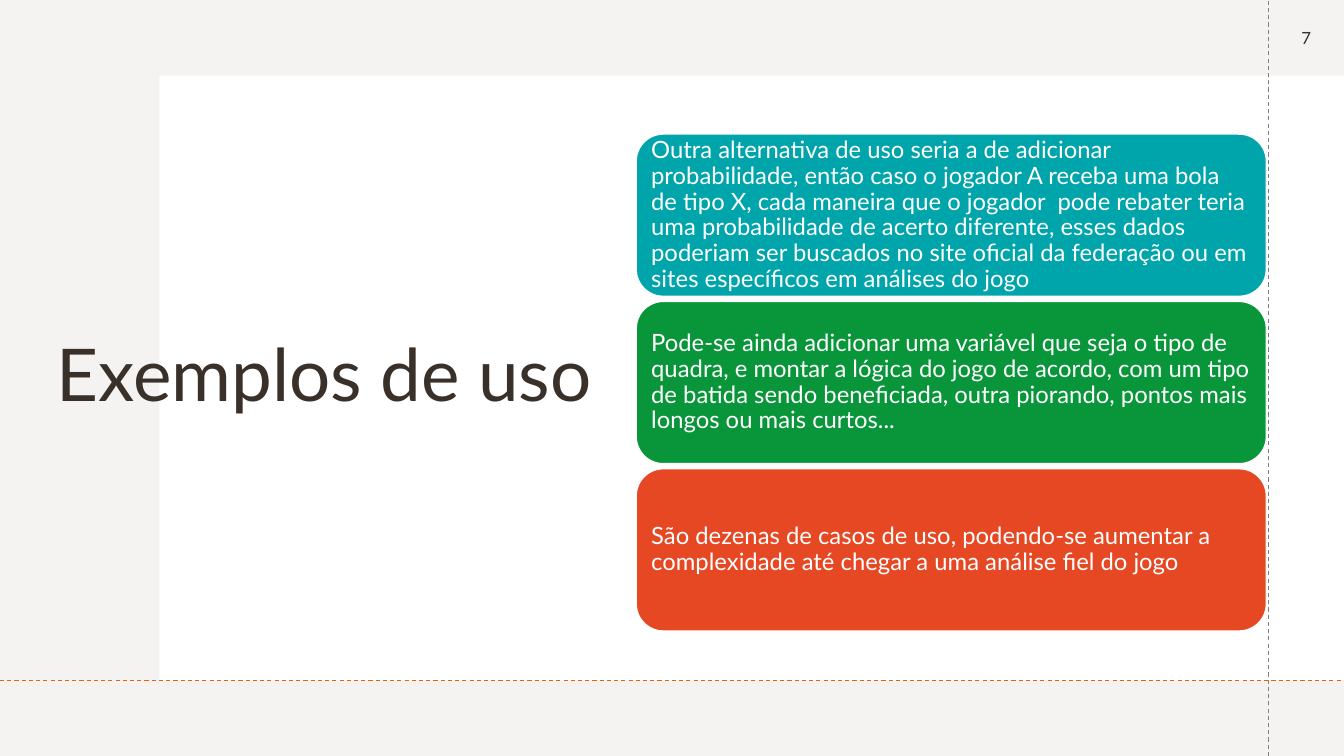
import dataclasses

import pptx
import pptx.dml.color
import pptx.enum.dml
import pptx.enum.shapes
import pptx.enum.text
import pptx.oxml
import pptx.util

RGB = pptx.dml.color.RGBColor.from_string
INCH = pptx.util.Inches
SHAPE = pptx.enum.shapes.MSO_SHAPE
ALIGN = pptx.enum.text.PP_ALIGN


@dataclasses.dataclass(frozen=True)
class Theme:
    """Colours, font and type sizes of the slide."""
    font: str = "Lato"
    back: str = "F5F3F1"
    white: str = "FFFFFF"
    ink: str = "39302A"
    rule: str = "E4650E"
    grey: str = "7F7F7F"
    cards: tuple = ("00A5AB", "09963B", "E64823")
    title: int = 52
    body: int = 17
    small: int = 12


THEME = Theme()
WIDE, HIGH = 13.33, 7.5

CASES = (
    "Outra alternativa de uso seria a de adicionar probabilidade, então caso "
    "o jogador A receba uma bola de tipo X, cada maneira que o jogador  pode "
    "rebater teria uma probabilidade de acerto diferente, esses dados poderiam "
    "ser buscados no site oficial da federação ou em sites específicos em "
    "análises do jogo",
    "Pode-se ainda adicionar uma variável que seja o tipo de quadra, e montar "
    "a lógica do jogo de acordo, com um tipo de batida sendo beneficiada, "
    "outra piorando, pontos mais longos ou mais curtos...",
    "São dezenas de casos de uso, podendo-se aumentar a complexidade até "
    "chegar a uma análise fiel do jogo",
)


def write(shape, text, size, color, align=ALIGN.LEFT, space=0.9):
    """Set one paragraph of text, centred vertically."""
    frame = shape.text_frame
    frame.text = text
    frame.word_wrap = True
    frame.auto_size = pptx.enum.text.MSO_AUTO_SIZE.NONE
    frame.vertical_anchor = pptx.enum.text.MSO_ANCHOR.MIDDLE
    para = frame.paragraphs[0]
    para.alignment = align
    para.line_spacing = space
    para.font.name = THEME.font
    para.font.size = pptx.util.Pt(size)
    para.font.color.rgb = RGB(color)


def block(slide, kind, box, fill):
    """Add a filled shape without shadow or line."""
    shape = slide.shapes.add_shape(kind, *map(INCH, box))
    shape.shadow.inherit = False
    shape.fill.solid()
    shape.fill.fore_color.rgb = RGB(fill)
    shape.line.fill.background()
    return shape


def rule(slide, start, end, color):
    """Add a thin dashed line."""
    line = slide.shapes.add_connector(
        pptx.enum.shapes.MSO_CONNECTOR.STRAIGHT, *map(INCH, start + end))
    line.line.color.rgb = RGB(color)
    line.line.width = pptx.util.Pt(0.75)
    line.line.dash_style = pptx.enum.dml.MSO_LINE.DASH
    props = line.element.spPr
    props.append(pptx.oxml.parse_xml(
        '<a:effectLst xmlns:a='
        '"http://schemas.openxmlformats.org/drawingml/2006/main"/>'))


def frame(slide, box):
    """Draw the white panel, dashed rules and page number around the box."""
    left, top, wide, high = box
    slide.background.fill.solid()
    slide.background.fill.fore_color.rgb = RGB(THEME.back)
    panel = block(slide, SHAPE.RECTANGLE, box, THEME.white)
    slide.shapes.title.element.addprevious(panel.element)
    edge, base = WIDE - top, top + high
    page = slide.shapes.add_textbox(*map(INCH, (edge, 0, top, top)))
    write(page, "7", THEME.small, THEME.ink, ALIGN.CENTER, 1)
    rule(slide, (edge, HIGH), (edge, 0), THEME.grey)
    rule(slide, (0, base), (WIDE, base), THEME.rule)


def head(slide, box, text):
    """Place the title in the box."""
    title = slide.shapes.title
    title.left, title.top, title.width, title.height = map(INCH, box)
    write(title, text, THEME.title, THEME.ink)


def stack(slide, box, texts, gap=0.05):
    """Fill the box with equal rounded cards, one per text."""
    left, top, wide, high = box
    tall = (high - gap * (len(texts) - 1)) / len(texts)
    for row, (text, fill) in enumerate(zip(texts, THEME.cards)):
        place = left, top + row * (tall + gap), wide, tall
        card = block(slide, SHAPE.ROUNDED_RECTANGLE, place, fill)
        card.line.color.rgb = RGB(THEME.white)
        card.line.width = pptx.util.Pt(1)
        write(card, text, THEME.body, THEME.white)
        area = card.text_frame
        area.margin_left = area.margin_right = INCH(0.07)
        area.margin_top = area.margin_bottom = INCH(0.07)


def main():
    """Build and save the slide."""
    deck = pptx.Presentation()
    deck.slide_width, deck.slide_height = INCH(WIDE), INCH(HIGH)
    slide = deck.slides.add_slide(deck.slide_layouts[5])
    top = HIGH / 10
    frame(slide, (1.58, top, WIDE - 1.58, HIGH - 2 * top))
    head(slide, (0.46, 1.03, 5.54, 5.44), "Exemplos de uso")
    stack(slide, (6.31, 1.33, 6.25, 4.93), CASES)
    deck.save("out.pptx")


if __name__ == "__main__":
    main()
